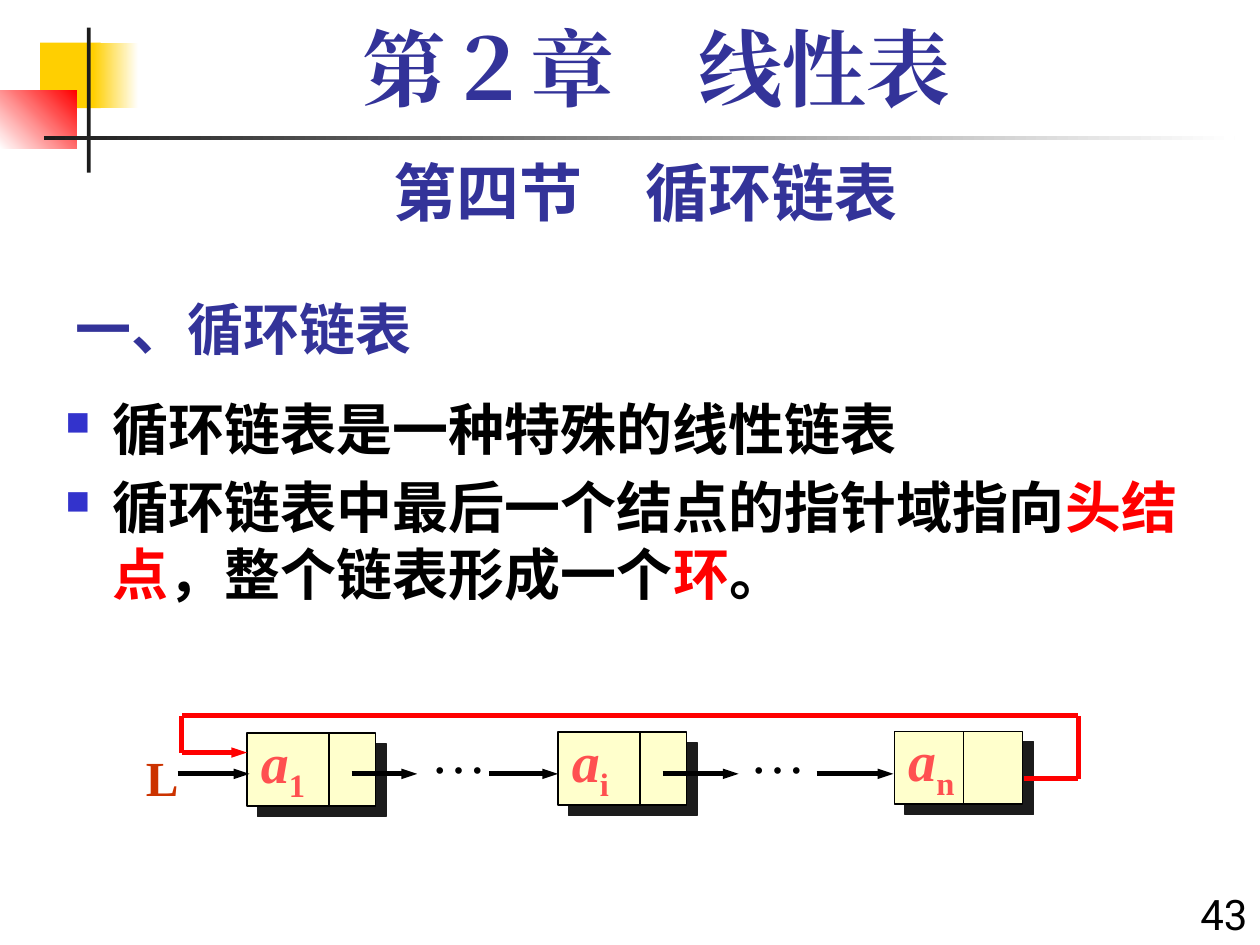
from collections import namedtuple
from itertools import pairwise

from lxml import etree
from pptx import Presentation
from pptx import util as u
from pptx.dml.color import RGBColor
from pptx.enum import shapes, text
from pptx.oxml import ns

Box = namedtuple("Box", "left top width height")

COLORS = {
    "black": "000000", "white": "FFFFFF", "ink": "1C1C1C", "gold": "FFCF01",
    "red": "FF0000", "heading": "333399", "bullet": "3333CC",
    "node": "FFFFCC", "element": "FF5050", "pointer": "CC3300",
}
HEI, SANS, SERIF = "Noto Sans CJK SC", "Roboto", "Times New Roman"


def rgb(name):
    return RGBColor.from_string(COLORS[name])


def add_xml(parent, tag, **attributes):
    return etree.SubElement(parent, ns.qn(tag), attributes)


def place(shape, box):
    shape.left, shape.top, shape.width, shape.height = map(u.Cm, box)


def style(span, size, color, font, bold=True, italic=False):
    span.font.size = u.Pt(size)
    span.font.bold, span.font.italic = bold, italic
    span.font.color.rgb = rgb(color)
    span.font.name = font
    add_xml(span.font._element, "a:ea", typeface=font)


def add_text(page, box, words, size, color, font, align=text.PP_ALIGN.LEFT,
             bold=True, wrap=True):
    """Add a one-paragraph text box and return its paragraph."""
    shape = page.shapes.add_textbox(*map(u.Cm, box))
    shape.text_frame.word_wrap = wrap
    para = shape.text_frame.paragraphs[0]
    para.text = words
    para.alignment = align
    style(para.runs[0], size, color, font, bold)
    return para


def add_rect(page, box, *colors, angle=0):
    """Add a borderless rectangle, with a gradient if two colours are given."""
    shape = page.shapes.add_shape(shapes.MSO_SHAPE.RECTANGLE, *map(u.Cm, box))
    shape.shadow.inherit = False
    shape.line.fill.background()
    if len(colors) == 1:
        shape.fill.solid()
        shape.fill.fore_color.rgb = rgb(colors[0])
    else:
        shape.fill.gradient()
        shape.fill.gradient_angle = angle
        for stop, color in zip(shape.fill.gradient_stops, colors):
            stop.color.rgb = rgb(color)
    return shape


def add_line(page, start, end, color="black", width=3, arrow=False):
    line = page.shapes.add_connector(
        shapes.MSO_CONNECTOR.STRAIGHT, *map(u.Cm, (*start, *end)))
    line.line.color.rgb = rgb(color)
    line.line.width = u.Pt(width)
    if arrow:
        add_xml(line.line._get_or_add_ln(), "a:tailEnd",
                type="triangle", w="sm", len="med")
    add_xml(line._element.spPr, "a:effectLst")


def add_ornament(page, box):
    left, top, width, _ = box
    add_rect(page, Box(left + 0.81, top + 0.3, 1.22, 1.32), "gold")
    add_rect(page, Box(left + 1.88, top + 0.3, 0.91, 1.32), "gold", "white")
    add_rect(page, Box(left, top + 1.27, 1.55, 1.17), "white", "red", angle=45)
    add_rect(page, Box(left + 1.75, top, 0.08, 2.92), "ink")
    add_rect(page, Box(left + 0.89, top + 2.18, width - 0.89, 0.08), "ink", "white")


def add_headings(page, box):
    left, top, width, _ = box
    center = text.PP_ALIGN.CENTER
    chapter = add_text(page, Box(left + 0.43, top, width - 0.43, 2.11),
                       "第２章　线性表", 48, "heading", SERIF, center)
    chapter.line_spacing = 0.9
    add_text(page, Box(left, top + 2.54, width, 1.78),
             "第四节　循环链表", 36, "heading", SANS, center)

    title = page.shapes.title
    place(title, Box(left, top + 5.08, 15.88, 1.9))
    frame = title.text_frame
    frame.text = "一、循环链表"
    frame.auto_size = text.MSO_AUTO_SIZE.NONE
    frame.vertical_anchor = text.MSO_ANCHOR.BOTTOM
    frame.paragraphs[0].alignment = text.PP_ALIGN.LEFT
    style(frame.paragraphs[0].runs[0], 32, "heading", HEI)


def add_bullets(page, box, items):
    shape = page.shapes.add_textbox(*map(u.Cm, box))
    frame = shape.text_frame
    frame.word_wrap = True
    for index, item in enumerate(items):
        para = frame.add_paragraph() if index else frame.paragraphs[0]
        para.space_before = u.Pt(6.4 if index else 0)
        for words, color in item:
            span = para.add_run()
            span.text = words
            style(span, 32, color, SANS)
        props = para._p.get_or_add_pPr()
        props.set("marL", str(u.Cm(0.95)))
        props.set("indent", str(u.Cm(-0.95)))
        add_xml(add_xml(props, "a:buClr"), "a:srgbClr", val=COLORS["bullet"])
        add_xml(props, "a:buSzPct", val="60000")
        add_xml(props, "a:buChar", char="■")


def add_node(page, box, divider):
    """Add a list node: a shadowed box split into data and pointer fields."""
    node = add_rect(page, box, "node")
    node.line.color.rgb = rgb("black")
    node.line.width = u.Pt(0.75)
    shadow = add_xml(node._element.spPr.find(ns.qn("a:effectLst")), "a:outerShdw",
                     dist=str(u.Pt(8.5)), dir="2700000", algn="ctr", rotWithShape="0")
    add_xml(shadow, "a:srgbClr", val=COLORS["ink"])
    x = box.left + divider
    add_line(page, (x, box.top), (x, box.top + box.height), width=0.75)


def add_element(page, box, index):
    para = add_text(page, box, "a", 32, "element", SERIF, wrap=False)
    para.runs[0].font.italic = True
    subscript = para.add_run()
    subscript.text = index
    style(subscript, 32, "element", SERIF)
    subscript.font._element.set("baseline", "-25000")


def add_circular_list(page, box):
    left, top, width, _ = box
    nodes = [("1", 1.32, 0.35, 1.65), ("i", 7.59, 0.33, 1.65), ("n", 14.37, 0.31, 1.4)]
    for index, x, y, divider in nodes:
        node = Box(left + x, top + y, 2.59, 1.47)
        add_node(page, node, divider)
        add_element(page, Box(node.left + 0.03, node.top - 0.23, 1.45, 1.6), index)

    link_y = top + 1.17
    for start, end in [(-0.08, 1.37), (3.43, 4.75), (6.2, 7.59),
                       (9.7, 11.23), (12.8, 14.35)]:
        add_line(page, (left + start, link_y), (left + end, link_y), arrow=True)
    for x in (4.77, 11.2):
        add_text(page, Box(left + x, top - 0.1, 1.4, 1.6), "…", 32, "black", SERIF,
                 bold=False)
    add_text(page, Box(left - 0.97, top + 0.51, 1.17, 1.45), "L", 28, "pointer", SERIF,
             wrap=False)

    ring = [(16.99, 1.27), (width, 1.27), (width, 0), (0, 0), (0, 0.74), (1.32, 0.74)]
    corners = [(left + x, top + y) for x, y in ring]
    for start, end in pairwise(corners):
        add_line(page, start, end, "red", arrow=end == corners[-1])


def main():
    deck = Presentation()
    deck.slide_width, deck.slide_height = u.Cm(25.4), u.Cm(19.05)
    page = deck.slides.add_slide(deck.slide_layouts.get_by_name("Title Only"))

    add_ornament(page, Box(0, 0.56, 24.89, 2.92))
    add_headings(page, Box(1.27, 0.43, 23.5, 6.98))
    add_bullets(page, Box(1.07, 7.82, 23.55, 4.8), [
        [("循环链表是一种特殊的线性链表", "black")],
        [("循环链表中最后一个结点的指针域指向", "black"), ("头结点", "red"),
         ("，整个链表形成一个", "black"), ("环", "red"), ("。", "black")],
    ])
    add_circular_list(page, Box(3.66, 14.43, 18.08, 2))
    add_text(page, Box(23.7, 17.78, 1.7, 1.27), "43", 24, "black", SANS,
             text.PP_ALIGN.RIGHT, bold=False)
    deck.save("out.pptx")


if __name__ == "__main__":
    main()
